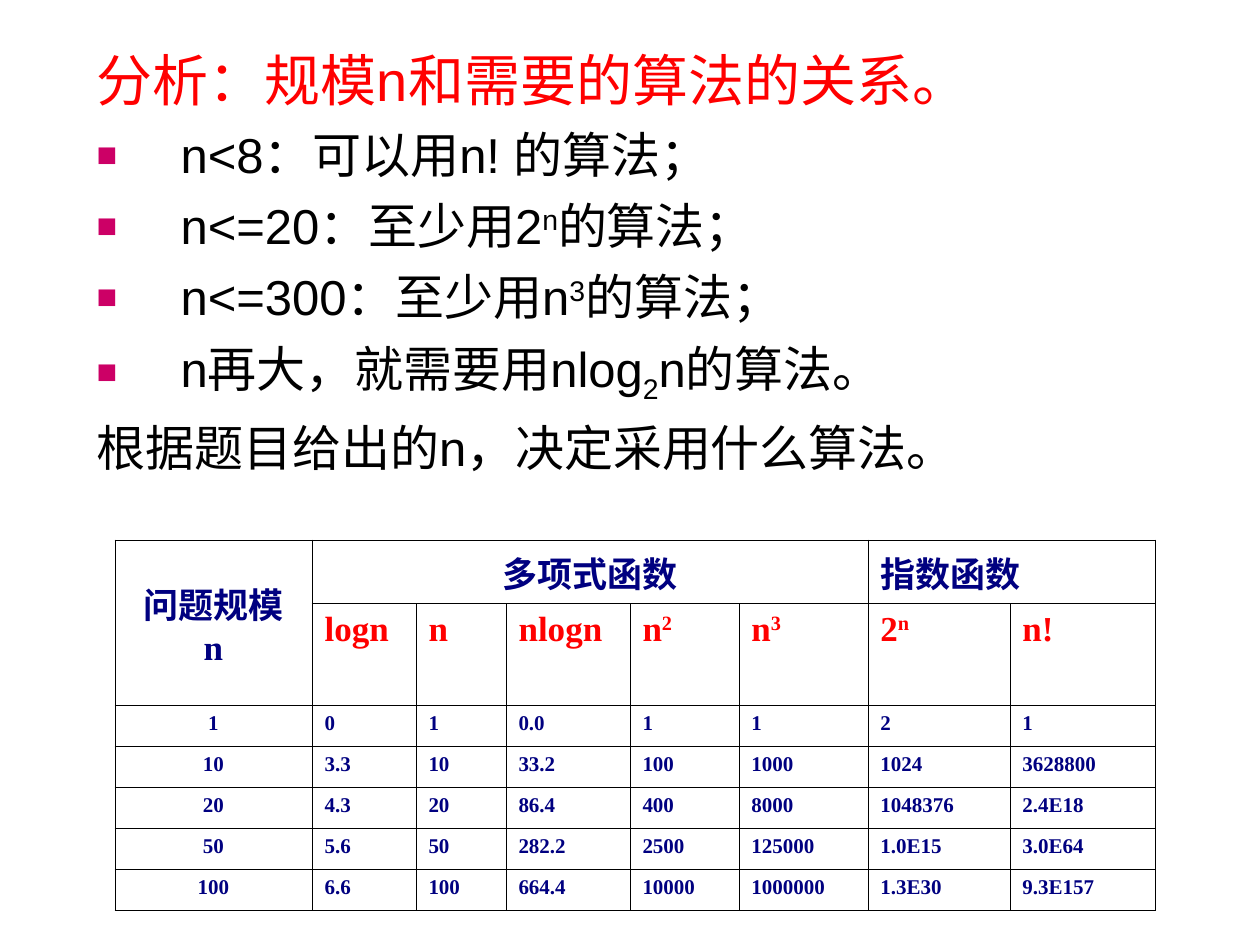
import pptx
import pptx.util
import pptx.dml.color
import pptx.enum.text
import pptx.oxml
import pptx.oxml.ns
from lxml import etree

RED = pptx.dml.color.RGBColor(0xFF, 0, 0)
BLACK = pptx.dml.color.RGBColor(0, 0, 0)
NAVY = pptx.dml.color.RGBColor(0, 0, 0x80)
PINK = pptx.dml.color.RGBColor(0xCC, 0, 0x66)
SANS, SERIF, HAN = "Arial", "Times New Roman", "Noto Sans CJK SC"
SCALE = 914400 / 126
SHIFT = {"^": 30000, "_": -25000}
ALIGN = pptx.enum.text.PP_ALIGN
ANCHOR = pptx.enum.text.MSO_ANCHOR

HEAD = "分析：规模n和需要的算法的关系。"
RULES = [
    "n<8：可以用n! 的算法；",
    "n<=20：至少用2^n的算法；",
    "n<=300：至少用n^3的算法；",
    "n再大，就需要用nlog_2n的算法。",
]
CLOSE = "根据题目给出的n，决定采用什么算法。"
GROUPS = [(0, 1, 0, "问题规模"), (1, 0, 5, "多项式函数"), (6, 0, 7, "指数函数")]
NAMES = ["logn", "n", "nlogn", "n^2", "n^3", "2^n", "n!"]
COSTS = [
    ["1", "0", "1", "0.0", "1", "1", "2", "1"],
    ["10", "3.3", "10", "33.2", "100", "1000", "1024", "3628800"],
    ["20", "4.3", "20", "86.4", "400", "8000", "1048376", "2.4E18"],
    ["50", "5.6", "50", "282.2", "2500", "125000", "1.0E15", "3.0E64"],
    ["100", "6.6", "100", "664.4", "10000", "1000000", "1.3E30", "9.3E157"],
]
WIDTHS = [197, 104, 90, 124, 109, 129, 142, 145]
HEIGHTS = [55, 97] + [41] * len(COSTS)


def px(num):
    return pptx.util.Emu(round(num * SCALE))


def add(top, tag, **attrs):
    node = etree.SubElement(top, pptx.oxml.ns.qn("a:" + tag))
    for key, val in attrs.items():
        node.set(key, str(val))
    return node


def split(text):
    parts, plain, chars = [], "", iter(text)
    for char in chars:
        if char in SHIFT:
            parts += [(plain, 0), (next(chars), SHIFT[char])]
            plain = ""
        else:
            plain += char
    return [part for part in parts + [(plain, 0)] if part[0]]


def write(para, text, size=12, face=SERIF, color=NAVY, bold=False,
          align=ALIGN.LEFT):
    para.alignment = align
    for part, shift in split(text):
        run = para.add_run()
        run.text = part
        font = run.font
        font.size, font.name, font.bold = pptx.util.Pt(size), face, bold
        font.color.rgb = color
        add(font._element, "ea", typeface=face)
        if shift:
            font._element.set("baseline", str(shift))


def hang(para, mark):
    props = para._p.get_or_add_pPr()
    props.set("marL", str(px(84)))
    props.set("indent", str(-px(84)))
    if mark:
        add(add(props, "buClr"), "srgbClr", val=PINK)
        add(props, "buSzPct", val=70000)
        add(props, "buFont", typeface=SANS)
        add(props, "buChar", char="■")
    else:
        add(props, "buNone")


def border(cell):
    props = cell._tc.get_or_add_tcPr()
    for side, width in (("lnL", 0.34), ("lnR", 0.34), ("lnT", 0.45), ("lnB", 0.45)):
        line = add(props, side, w=pptx.util.Pt(width))
        add(add(line, "solidFill"), "srgbClr", val=BLACK)
    cell.fill.background()


def fill_body(body):
    body.left, body.top, body.width, body.height = map(px, (84, 39, 1120, 459))
    frame = body.text_frame
    frame.word_wrap = True
    frame.auto_size = pptx.enum.text.MSO_AUTO_SIZE.NONE
    frame.vertical_anchor = ANCHOR.TOP
    lines = [HEAD] + RULES + [CLOSE]
    for num, text in enumerate(lines):
        para = frame.add_paragraph() if num else frame.paragraphs[0]
        hang(para, text in RULES)
        para.space_before = pptx.util.Pt(7 if num else 0)
        write(para, text, size=28 if num else 32, face=SANS,
              color=BLACK if num else RED)


def fill_table(slide):
    shape = slide.shapes.add_table(
        len(HEIGHTS), len(WIDTHS), px(115), px(540), px(sum(WIDTHS)), px(sum(HEIGHTS)))
    table = shape.table
    table.first_row = table.horz_banding = False
    for col, width in zip(table.columns, WIDTHS):
        col.width = px(width)
    for row, height in zip(table.rows, HEIGHTS):
        row.height = px(height)
    for cell in table.iter_cells():
        border(cell)
    for left, low, right, text in GROUPS:
        cell = table.cell(0, left)
        cell.merge(table.cell(low, right))
        write(cell.text_frame.paragraphs[0], text, size=20, face=HAN, bold=True,
              align=ALIGN.LEFT if left == 6 else ALIGN.CENTER)
    scope = table.cell(0, 0)
    scope.vertical_anchor = ANCHOR.MIDDLE
    write(scope.text_frame.add_paragraph(), "n", size=20, bold=True,
          align=ALIGN.CENTER)
    for col, text in enumerate(NAMES, 1):
        write(table.cell(1, col).text_frame.paragraphs[0], text, size=20,
              color=RED, bold=True)
    for row, costs in enumerate(COSTS, 2):
        for col, text in enumerate(costs):
            write(table.cell(row, col).text_frame.paragraphs[0], text, bold=True,
                  align=ALIGN.LEFT if col else ALIGN.CENTER)


def main():
    deck = pptx.Presentation()
    deck.slide_width, deck.slide_height = px(1260), px(945)
    slide = deck.slides.add_slide(deck.slide_layouts[1])
    title = slide.shapes.title._element
    title.getparent().remove(title)
    fill_body(slide.placeholders[1])
    fill_table(slide)
    deck.save("out.pptx")


if __name__ == "__main__":
    main()
